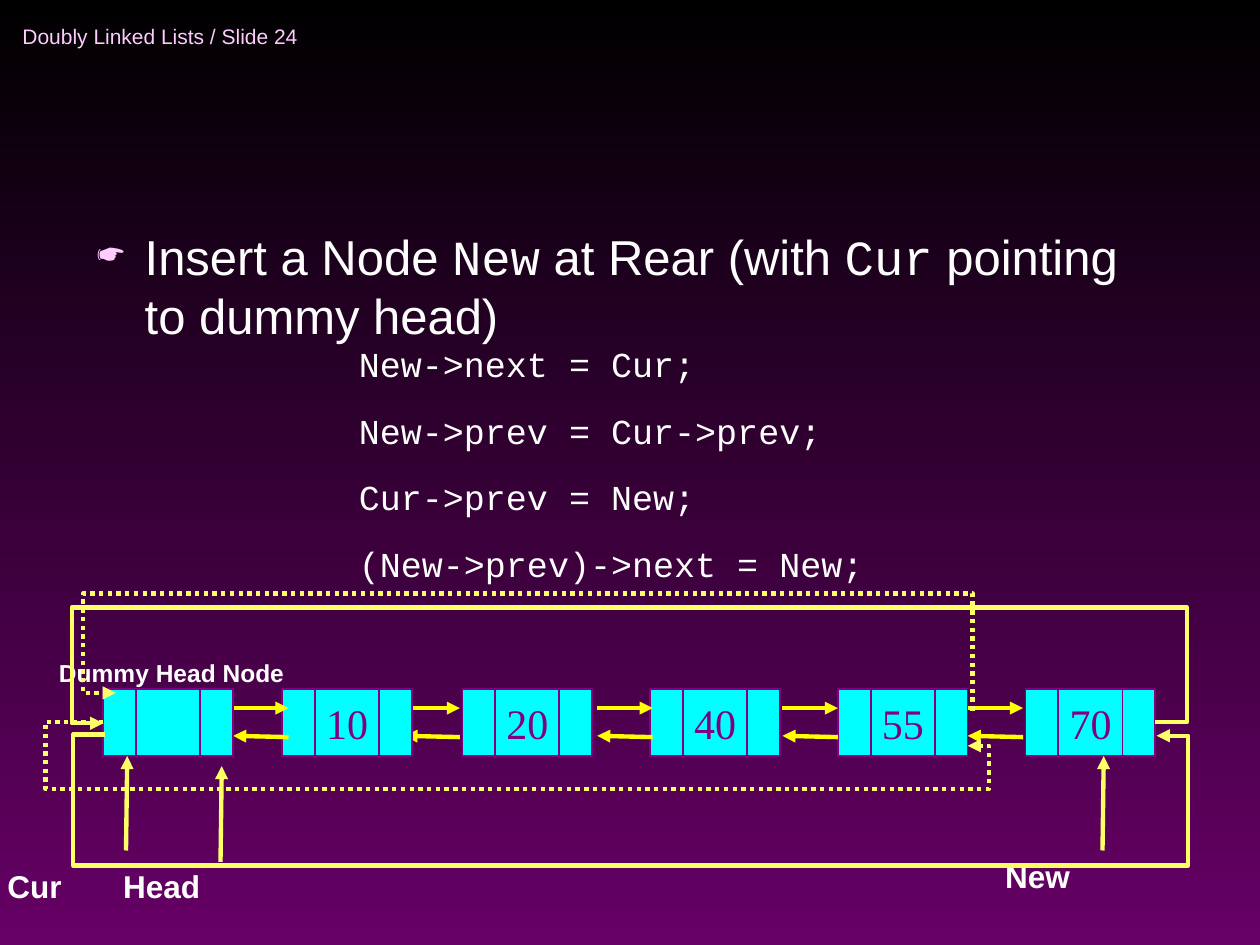
"""Build the slide on inserting a node at the rear of a doubly linked list."""
from lxml import etree
from pptx import Presentation
from pptx.dml.color import RGBColor
from pptx.enum import dml, shapes, text
from pptx.oxml import ns
from pptx.util import Inches, Pt

BLACK = RGBColor(0x00, 0x00, 0x00)
PURPLE = RGBColor(0x66, 0x00, 0x66)
VIOLET = RGBColor(0x80, 0x00, 0x80)
CYAN = RGBColor(0x00, 0xFF, 0xFF)
WHITE = RGBColor(0xFF, 0xFF, 0xFF)
PINK = RGBColor(0xFF, 0xCC, 0xFF)
YELLOW = RGBColor(0xFF, 0xFF, 0x00)
PALE_YELLOW = RGBColor(0xFF, 0xFF, 0x66)
SANS, MONO, SERIF = "Arial", "Courier New", "Times New Roman"

HEADER = "Doubly Linked Lists / Slide 24"
HEADLINE = [
    ("Insert a Node ", SANS),
    ("New", MONO),
    (" at Rear (with ", SANS),
    ("Cur", MONO),
    (" pointing to dummy head)", SANS),
]
CODE = [
    "New->next = Cur;",
    "New->prev = Cur->prev;",
    "Cur->prev = New;",
    "(New->prev)->next = New;",
]
NODES = [("", 0.82), ("10", 2.24), ("20", 3.67), ("40", 5.16), ("55", 6.65), ("70", 8.14)]
LINK_LEFTS = [1.85, 3.21, 4.74, 6.21, 7.68]
NODE_TOP, NODE_HEIGHT, SIDE_WIDTH, VALUE_WIDTH = 5.47, 0.53, 0.26, 0.51
LINK_LENGTH = 0.44
LABELS = [
    ("Head", 0.88, 6.83, 1.56, 0.4, 18),
    ("Dummy Head Node", 0.37, 5.17, 2.74, 0.34, 14),
    ("Cur", -0.04, 6.83, 1.38, 0.4, 18),
    ("New", 7.88, 6.75, 1.46, 0.4, 18),
]
POINTERS = [
    ((1.75, 6.84), (1.76, 6.08)),
    ((1, 6.75), (1.01, 6)),
    ((8.75, 6.75), (8.76, 6)),
]
NEW_LINKS = [
    [(9.17, 5.73), (9.42, 5.73), (9.42, 4.82), (0.57, 4.82), (0.57, 5.74), (0.82, 5.74)],
    [(0.83, 5.83), (0.58, 5.83), (0.58, 6.87), (9.43, 6.87), (9.43, 5.84), (9.18, 5.84)],
]
OLD_LINKS = [
    [(7.72, 5.64), (7.72, 4.71), (0.66, 4.71), (0.66, 5.5), (0.92, 5.5)],
    [(0.82, 5.73), (0.36, 5.73), (0.36, 6.26), (7.85, 6.26), (7.85, 5.92), (7.68, 5.92)],
]


def add_run(paragraph, words, font, size, color, bold=False):
    run = paragraph.add_run()
    run.text = words
    run.font.name, run.font.size, run.font.bold = font, Pt(size), bold
    run.font.color.rgb = color


def add_text(slide, left, top, width, height, anchor=text.MSO_ANCHOR.TOP):
    box = slide.shapes.add_textbox(*map(Inches, (left, top, width, height)))
    box.text_frame.word_wrap = True
    box.text_frame.vertical_anchor = anchor
    return box.text_frame


def add_bullet(paragraph, character, color, percent):
    properties = paragraph._p.get_or_add_pPr()
    properties.set("marL", str(Inches(0.38)))
    properties.set("indent", str(Inches(-0.38)))
    bullet_color = etree.SubElement(properties, ns.qn("a:buClr"))
    etree.SubElement(bullet_color, ns.qn("a:srgbClr"), val=str(color))
    etree.SubElement(properties, ns.qn("a:buSzPct"), val=str(percent * 1000))
    etree.SubElement(properties, ns.qn("a:buChar"), char=character)


def style_arrow(arrow, color, dash=None):
    arrow.line.color.rgb = color
    arrow.line.width = Pt(2.5)
    if dash:
        arrow.line.dash_style = dash
    etree.SubElement(arrow.line._get_or_add_ln(), ns.qn("a:tailEnd"), type="triangle")


def add_arrow(slide, start, end, color):
    arrow = slide.shapes.add_connector(
        shapes.MSO_CONNECTOR.STRAIGHT, *map(Inches, (*start, *end)))
    style_arrow(arrow, color)
    etree.SubElement(arrow._element.spPr, ns.qn("a:effectLst"))


def add_bent_arrow(slide, points, dash=None):
    corners = [(Inches(x), Inches(y)) for x, y in points]
    builder = slide.shapes.build_freeform(*corners[0])
    builder.add_line_segments(corners[1:], close=False)
    arrow = builder.convert_to_shape()
    arrow.shadow.inherit = False
    arrow.fill.background()
    style_arrow(arrow, PALE_YELLOW, dash)


def add_node(slide, value, left):
    group = slide.shapes.add_group_shape()
    for words, width in (("", SIDE_WIDTH), (value, VALUE_WIDTH), ("", SIDE_WIDTH)):
        cell = group.shapes.add_shape(
            shapes.MSO_SHAPE.RECTANGLE, *map(Inches, (left, NODE_TOP, width, NODE_HEIGHT)))
        cell.shadow.inherit = False
        cell.fill.solid()
        cell.fill.fore_color.rgb = CYAN
        cell.line.color.rgb = VIOLET
        cell.line.width = Pt(1)
        if words:
            cell.text_frame.word_wrap = False
            cell.text_frame.vertical_anchor = text.MSO_ANCHOR.MIDDLE
            paragraph = cell.text_frame.paragraphs[0]
            paragraph.alignment = text.PP_ALIGN.CENTER
            add_run(paragraph, words, SERIF, 24, VIOLET)
        left += width


def add_link_pair(slide, left):
    right = left + LINK_LENGTH
    add_arrow(slide, (left, 5.62), (right, 5.62), YELLOW)
    add_arrow(slide, (right, 5.85), (left, 5.84), YELLOW)


def main():
    presentation = Presentation()
    presentation.slide_width, presentation.slide_height = Inches(10), Inches(7.5)
    slide = presentation.slides.add_slide(presentation.slide_layouts[6])
    background = slide.background.fill
    background.gradient()
    background.gradient_angle = 270
    for stop, color, position in zip(background.gradient_stops, (BLACK, PURPLE), (0, 1)):
        stop.color.rgb = color
        stop.position = position

    header = add_text(slide, 0.08, 0.08, 2.75, 0.42, text.MSO_ANCHOR.MIDDLE)
    add_run(header.paragraphs[0], HEADER, SANS, 12, PINK)

    headline = add_text(slide, 0.67, 1.75, 8.58, 4.5).paragraphs[0]
    add_bullet(headline, "☛", PINK, 75)
    for words, font in HEADLINE:
        add_run(headline, words, font, 28, WHITE)

    code = add_text(slide, 2.75, 2.67, 5, 1.96)
    for index, words in enumerate(CODE):
        paragraph = code.add_paragraph() if index else code.paragraphs[0]
        if index:
            paragraph.space_before = Pt(14)
        add_run(paragraph, words, MONO, 20, WHITE)

    for index in reversed(range(len(NODES))):
        add_node(slide, *NODES[index])
        if index:
            add_link_pair(slide, LINK_LEFTS[index - 1])

    for words, left, top, width, height, size in LABELS:
        label = add_text(slide, left, top, width, height)
        add_run(label.paragraphs[0], words, SANS, size, WHITE, bold=True)
    for start, end in POINTERS:
        add_arrow(slide, start, end, PALE_YELLOW)
    for points in NEW_LINKS:
        add_bent_arrow(slide, points)
    for points in OLD_LINKS:
        add_bent_arrow(slide, points, dml.MSO_LINE.ROUND_DOT)

    presentation.save("out.pptx")


if __name__ == "__main__":
    main()
